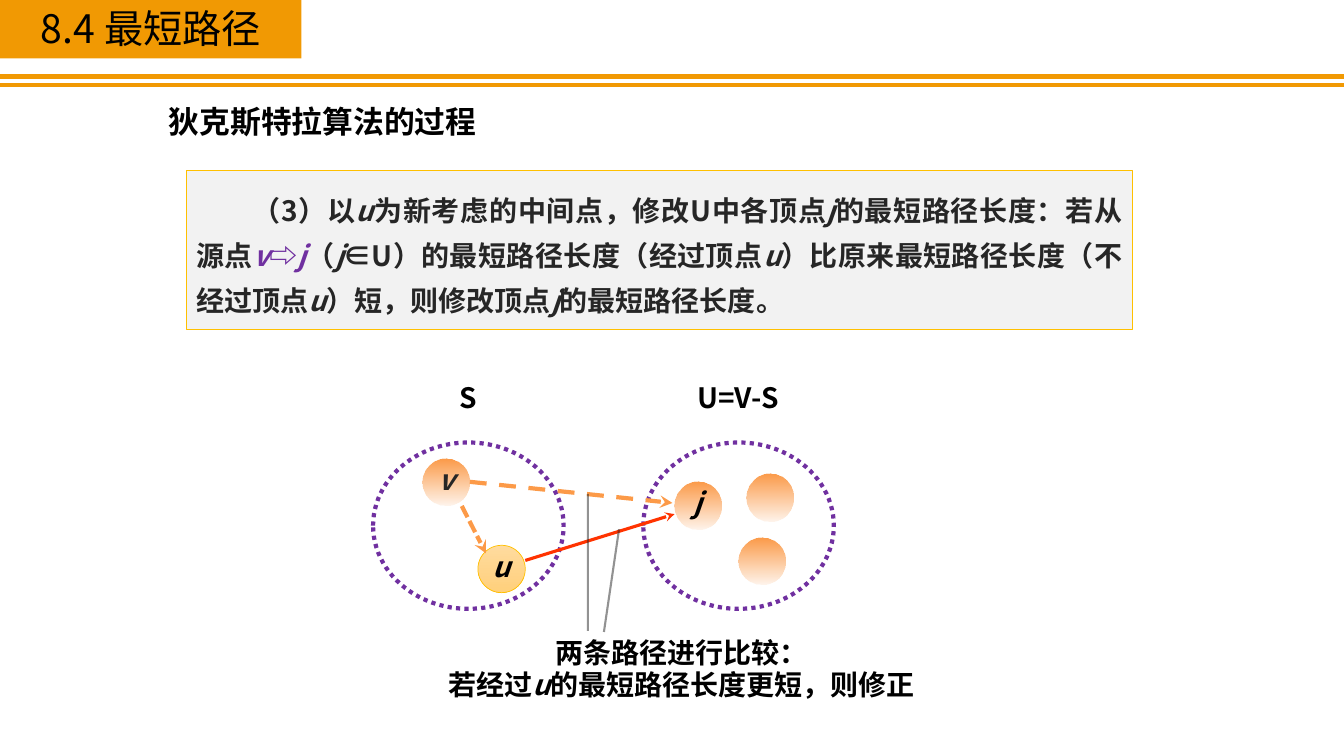
from dataclasses import dataclass
from lxml import etree
from pptx import Presentation
from pptx.dml.color import RGBColor
from pptx.enum import dml, shapes, text
from pptx.oxml.ns import qn
from pptx.util import Inches, Pt


@dataclass
class Theme:
    face: str = "Noto Sans CJK SC"
    band: str = "F19903"
    gold: str = "FFC000"
    panel: str = "F2F2F2"
    black: str = "000000"
    ink: str = "262626"
    violet: str = "7030A0"
    orange: str = "FC9A48"
    red: str = "FF3300"
    pale: str = "FFDB9E"
    tan: str = "FFD07C"
    title: int = 28
    head: int = 22
    body: int = 20


T = Theme()
DASH = dml.MSO_LINE
ALIGN = text.PP_ALIGN

TITLE = "8.4 最短路径"
HEAD = "狄克斯特拉算法的过程"
STEP = [
    ("（3）以", ""), ("u", "i"), ("为新考虑的中间点，修改U中各顶点", ""), ("j", "i"),
    ("的最短路径长度：若从源点", ""), ("v", "iv"), ("⇨", "v"), ("j", "iv"),
    ("（", ""), ("j", "i"), ("∈U）的最短路径长度（经过顶点", ""), ("u", "i"),
    ("）比原来最短路径长度（不经过顶点", ""), ("u", "i"),
    ("）短，则修改顶点", ""), ("j", "i"), ("的最短路径长度。", ""),
]
NOTE = [
    [("两条路径进行比较：", "")],
    [("若经过", ""), ("u", "i"), ("的最短路径长度更短，则修正", "")],
]
SETS = [("S", 3.7, (4.33, 0.63)), ("U=V-S", 6.38, (6.77, 1.1))]
NODES = [
    ("v", 4.19, 4.55, T.ink), ("u", 4.74, 5.41, T.black), ("j", 6.69, 4.78, T.black),
    ("", 7.32, 5.33, T.black), ("", 7.4, 4.7, T.black),
]
RULES = [0.76, 0.84]
PATHS = [
    ((5.21, 5.56), (6.69, 5.1), T.red, 2.25, None),
    ((4.66, 4.78), (6.67, 4.99), T.orange, 3, DASH.DASH),
    ((4.58, 5.02), (4.82, 5.49), T.orange, 3, DASH.SQUARE_DOT),
]
LEADS = [((5.83, 4.9), (5.83, 6.26)), ((6.14, 5.25), (5.99, 6.27))]
NODE = 0.47

deck = Presentation()
deck.slide_width, deck.slide_height = Inches(13.33), Inches(7.5)
slide = deck.slides.add_slide(deck.slide_layouts[5])


def paint(fill, color):
    fill.solid()
    fill.fore_color.rgb = RGBColor.from_string(color)


def stroke(line, color, width, dash=None):
    paint(line.fill, color)
    line.width = Pt(width)
    if dash:
        line.dash_style = dash


def fade(holder, percent):
    etree.SubElement(holder, qn("a:alpha"), val=str(percent * 1000))


def style(run, size, color, bold=True, slant=False):
    font = run.font
    font.size, font.bold, font.italic = Pt(size), bold, slant
    font.color.rgb = RGBColor.from_string(color)
    font.name = T.face
    etree.SubElement(run._r.get_or_add_rPr(), qn("a:ea"), typeface=T.face)


def write(frame, rows, size, color, space=0.8, align=ALIGN.CENTER, bold=True):
    for spot, row in enumerate(rows):
        para = frame.add_paragraph() if spot else frame.paragraphs[0]
        para.alignment, para.line_spacing = align, space
        para.space_before = Pt(6 if spot else 0)
        for words, marks in row:
            run = para.add_run()
            run.text = words
            style(run, size, T.violet if "v" in marks else color, bold, "i" in marks)


def pad(frame, side, top, base):
    frame.margin_left = frame.margin_right = Inches(side)
    frame.margin_top, frame.margin_bottom = Inches(top), Inches(base)


def label(box, rows, size, anchor=text.MSO_ANCHOR.MIDDLE, space=0.8):
    frame = slide.shapes.add_textbox(*map(Inches, box)).text_frame
    frame.word_wrap = True
    frame.vertical_anchor = anchor
    pad(frame, 0, 0.05, 0.05)
    write(frame, rows, size, T.black, space)


def shape(kind, box):
    item = slide.shapes.add_shape(kind, *map(Inches, box))
    item.shadow.inherit = False
    return item


def blend(item, first, last, clear=None):
    fill = item.fill
    fill.gradient()
    fill.gradient_angle = 270
    for stop, color in zip(fill.gradient_stops, (first, last)):
        stop.color.rgb = RGBColor.from_string(color)
    if clear:
        ends = list(item._element.spPr.iter(qn("a:srgbClr")))
        fade(ends[-1], clear)


def link(start, end, color, width, dash=None, arrow=False, clear=None):
    ends = map(Inches, (*start, *end))
    item = slide.shapes.add_connector(shapes.MSO_CONNECTOR.STRAIGHT, *ends)
    stroke(item.line, color, width, dash)
    props = item._element.spPr
    if clear:
        fade(next(props.iter(qn("a:srgbClr"))), clear)
    if arrow:
        etree.SubElement(props.find(qn("a:ln")), qn("a:tailEnd"), type="stealth")
    etree.SubElement(props, qn("a:effectLst"))


for y in RULES:
    link((0, y), (13.33, y), T.band, 3)

title = slide.shapes.title
title.left, title.top, title.width, title.height = map(Inches, (0, 0, 2.99, 0.58))
paint(title.fill, T.band)
title.text_frame.vertical_anchor = text.MSO_ANCHOR.MIDDLE
pad(title.text_frame, 0.06, 0.06, 0)
write(title.text_frame, [[(TITLE, "")]], T.title, T.black, bold=False)

label((1.19, 1.04, 4.02, 0.4), [[(HEAD, "")]], T.head)

panel = shape(shapes.MSO_SHAPE.RECTANGLE, (1.85, 1.69, 9.38, 1.58))
paint(panel.fill, T.panel)
stroke(panel.line, T.gold, 0.5)
frame = panel.text_frame
frame.word_wrap = True
frame.vertical_anchor = text.MSO_ANCHOR.TOP
pad(frame, 0.1, 0.12, 0.12)
write(frame, [STEP], T.body, T.ink, Pt(32), ALIGN.JUSTIFY)
frame.paragraphs[0]._p.get_or_add_pPr().set("indent", str(Pt(2 * T.body)))

for name, x, (left, width) in SETS:
    ring = shape(shapes.MSO_SHAPE.OVAL, (x, 4.39, 1.89, 1.65))
    ring.fill.background()
    stroke(ring.line, T.violet, 3, DASH.ROUND_DOT)
    label((left, 3.84, width, 0.27), [[(name, "")]], T.body)

for name, x, y, color in NODES:
    node = shape(shapes.MSO_SHAPE.OVAL, (x, y, NODE, NODE))
    if name == "u":
        blend(node, T.pale, T.tan)
        stroke(node.line, T.gold, 0.5)
    else:
        blend(node, T.orange, T.orange, 10)
        node.line.fill.background()
    if name:
        node.text_frame.word_wrap = False
        node.text_frame.vertical_anchor = text.MSO_ANCHOR.MIDDLE
        write(node.text_frame, [[(name, "i")]], T.body, color)

for start, end, color, width, dash in PATHS:
    link(start, end, color, width, dash, arrow=True)
for start, end in LEADS:
    link(start, end, T.ink, 1.5, clear=50)

label((4.25, 6.35, 5.02, 0.74), NOTE, T.body, text.MSO_ANCHOR.TOP, 0.7)

deck.save("out.pptx")
